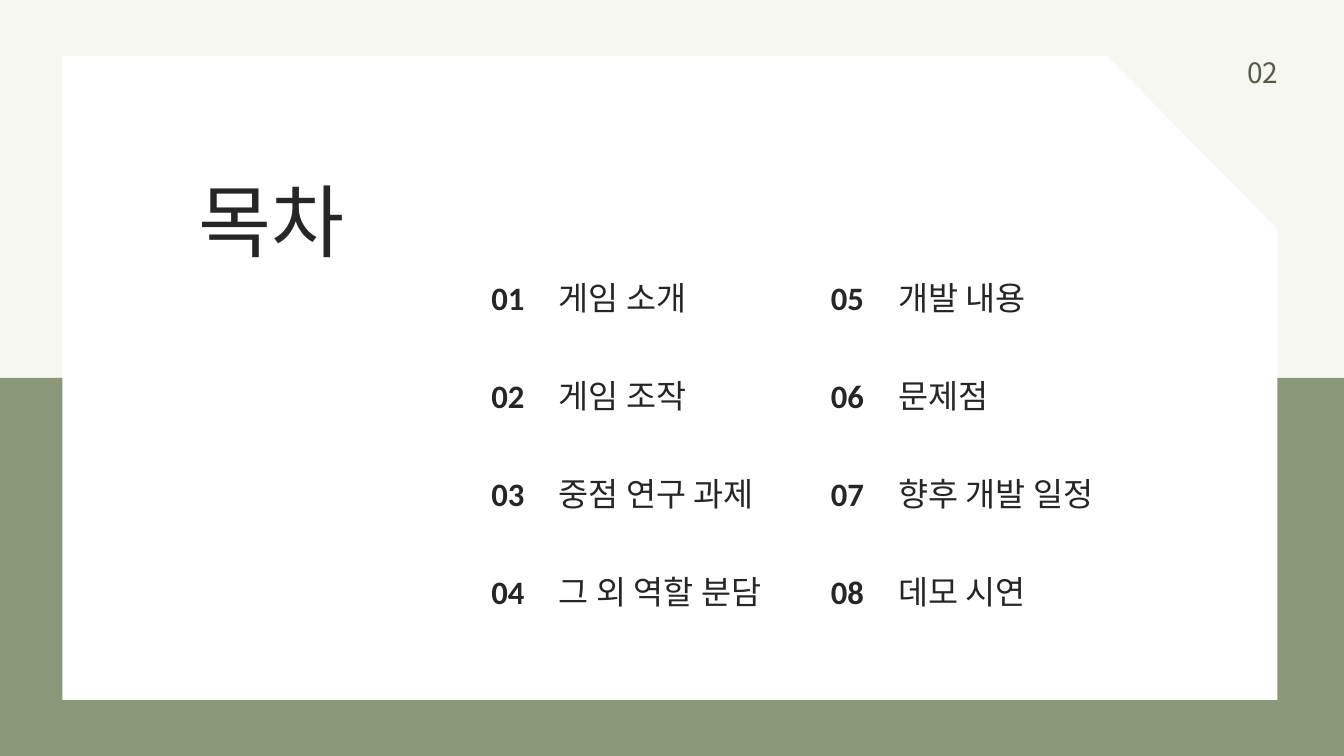
from lxml.etree import SubElement
from pptx import Presentation
from pptx.dml.color import RGBColor
from pptx.enum.shapes import MSO_SHAPE as SHAPE
from pptx.enum.text import MSO_ANCHOR as ANCHOR, MSO_AUTO_SIZE as AUTO, PP_ALIGN as ALIGN
from pptx.oxml.ns import qn
from pptx.util import Emu, Pt

PX = 9525  # EMU per px, 96 px to the inch
W, H = 1920, 1080
CREAM, GREEN, WHITE, INK, OLIVE = "F7F7F2", "899878", "FFFFFF", "262626", "525C46"
TOPICS = ["게임 소개", "게임 조작", "중점 연구 과제", "그 외 역할 분담",
          "개발 내용", "문제점", "향후 개발 일정", "데모 시연"]
PER_COLUMN = 4


def px(n):
    return Emu(n * PX)


def color(hex_string):
    return RGBColor.from_string(hex_string)


def place(sp, box):
    sp.left, sp.top, sp.width, sp.height = map(px, box)


def block(s, kind, box, fill):
    sp = s.shapes.add_shape(kind, *map(px, box))
    sp.shadow.inherit = False
    sp.fill.solid()
    sp.fill.fore_color.rgb = color(fill)
    sp.line.fill.background()
    return sp


def text_area(s, sp, box):
    """Bring a text shape to the front, place it and clear its margins."""
    s.shapes._spTree.append(sp._element)
    place(sp, box)
    tf = sp.text_frame
    tf.word_wrap = True
    tf.auto_size = AUTO.NONE
    tf.vertical_anchor = ANCHOR.TOP
    tf.margin_left = tf.margin_top = tf.margin_right = tf.margin_bottom = 0
    return tf


def style(r, size, ink, font="Calibri", bold=False):
    r.font.size, r.font.name, r.font.bold = Pt(size), font, bold
    r.font.color.rgb = color(ink)
    rPr = r._r.get_or_add_rPr()
    rPr.set("kern", "0")  # no pair kerning
    SubElement(rPr, qn("a:ea")).set("typeface", font)


def add_backdrop(s, box):
    x, y, w, h = box
    s.background.fill.solid()
    s.background.fill.fore_color.rgb = color(CREAM)
    block(s, SHAPE.RECTANGLE, (x, y + h // 2, w, h // 2), GREEN)


def add_card(s, box, corner=(244, 247)):
    x, y, w, h = box
    block(s, SHAPE.RECTANGLE, box, WHITE)
    # Cut-off top right corner
    cut = block(s, SHAPE.RIGHT_TRIANGLE, (x + w - corner[0], y, *corner), CREAM)
    cut.rotation = 180


def add_title(s, box):
    tf = text_area(s, s.shapes.title, box)
    tf.text = "목차"
    p = tf.paragraphs[0]
    p.alignment, p.line_spacing = ALIGN.LEFT, Pt(119)
    style(p.runs[0], 85, INK)


def add_topics(s, sp, box, first, topics):
    tf = text_area(s, sp, box)
    for i, topic in enumerate(topics):
        p = tf.paragraphs[0] if i == 0 else tf.add_paragraph()
        p.line_spacing, p.space_before = 2.5, Pt(0)
        # No bullet; tab stops one inch apart
        pPr = p._p.get_or_add_pPr()
        for name, value in (("marL", 0), ("indent", 0), ("defTabSz", px(96))):
            pPr.set(name, str(int(value)))
        SubElement(pPr, qn("a:buNone"))
        for text, bold in ((f"{first + i:02d}\t", True), (topic, False)):
            r = p.add_run()
            r.text = text
            style(r, 35, INK, bold=bold)


def add_page_number(s, box):
    tf = text_area(s, s.shapes.add_textbox(*map(px, box)), box)
    tf.text = "02"
    p = tf.paragraphs[0]
    p.alignment = ALIGN.RIGHT
    style(p.runs[0], 30, OLIVE, "Noto Sans CJK KR")


def main():
    prs = Presentation()
    prs.slide_width, prs.slide_height = px(W), px(H)
    s = prs.slides.add_slide(prs.slide_layouts.get_by_name("Two Content"))
    add_backdrop(s, (0, 0, W, H))
    add_card(s, (89, 80, 1736, 920))
    add_title(s, (284, 223, 836, 151))
    for col in range(2):
        start = col * PER_COLUMN
        add_topics(s, s.placeholders[col + 1], (702 + col * 485, 313, 396, 543),
                   start + 1, TOPICS[start:start + PER_COLUMN])
    add_page_number(s, (1697, 80, 129, 48))
    prs.save("out.pptx")


if __name__ == "__main__":
    main()
